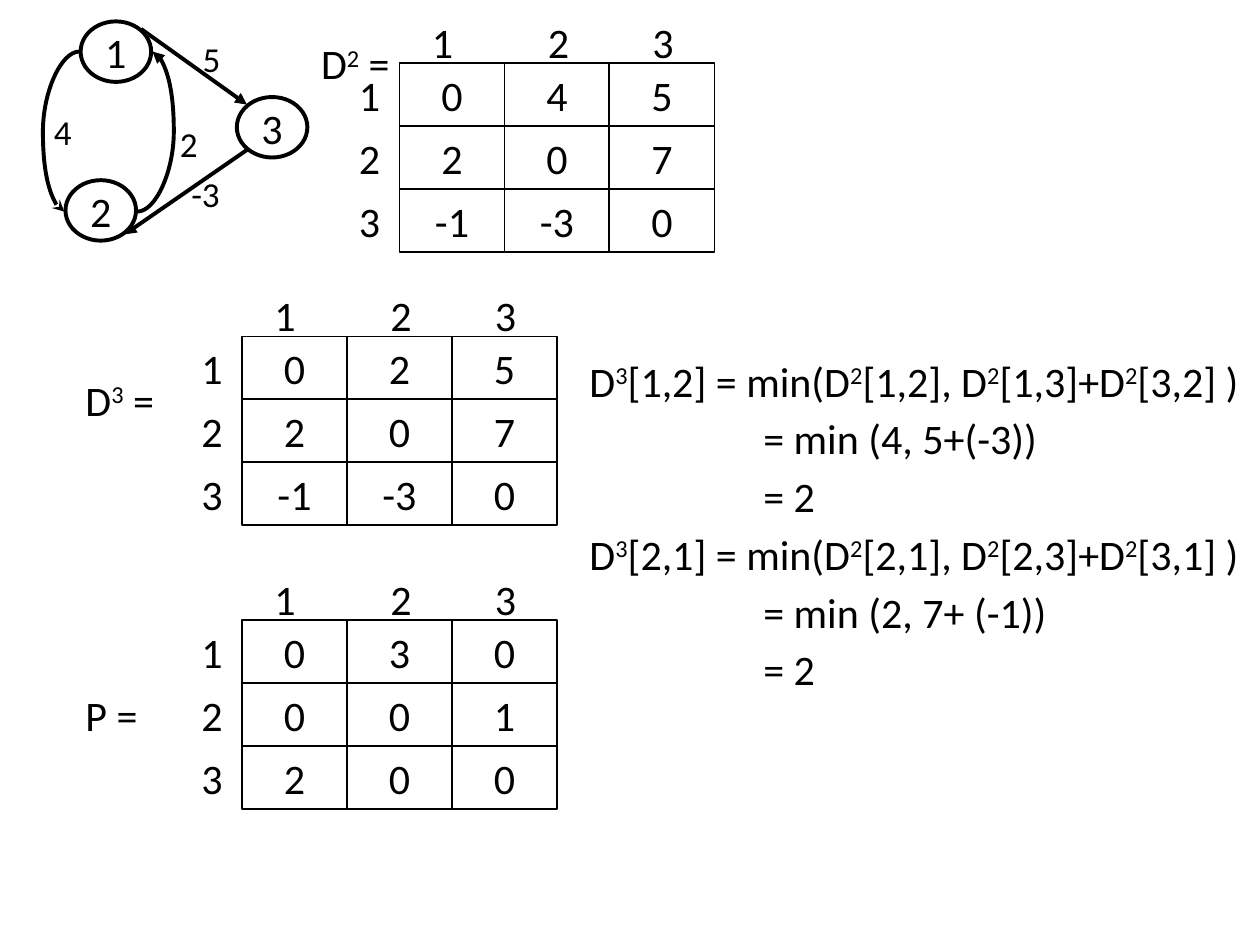
from lxml import etree
from pptx import Presentation
from pptx.dml.color import RGBColor
from pptx.enum.shapes import MSO_CONNECTOR, MSO_SHAPE
from pptx.enum.text import MSO_ANCHOR, PP_ALIGN
from pptx.oxml.ns import qn
from pptx.util import Inches, Pt

BLACK = RGBColor(0, 0, 0)
RECT, OVAL = MSO_SHAPE.RECTANGLE, MSO_SHAPE.OVAL
STRAIGHT, CURVE = MSO_CONNECTOR.STRAIGHT, MSO_CONNECTOR.CURVE
LEFT, CENTER, JUSTIFY = PP_ALIGN.LEFT, PP_ALIGN.CENTER, PP_ALIGN.JUSTIFY
MIDDLE = MSO_ANCHOR.MIDDLE


class Board:
    font = "Calibri"
    size = 24
    small = 20
    edge = 2.25
    cell_w, cell_h = 2.5 / 3, 0.5
    column_label_x = (0.16, 1.08, 1.91)

    def __init__(self, slide):
        self.slide = slide

    def fill_text(self, p, text, size=size, align=LEFT):
        """Fill a paragraph; the character after each ^ is superscript."""
        p.alignment = align
        p.font.name, p.font.size = self.font, Pt(size)
        p.font.color.rgb = BLACK
        first, *others = text.split("^")
        p.add_run().text = first
        for part in others:
            r = p.add_run()
            r.text = part[0]
            r.font._element.set("baseline", "30000")
            p.add_run().text = part[1:]

    def label(self, x, y, text, w=0.37, h=0.5, size=size):
        tf = self.slide.shapes.add_textbox(
            Inches(x), Inches(y), Inches(w), Inches(h)).text_frame
        tf.word_wrap = False
        self.fill_text(tf.paragraphs[0], text, size)

    def outline(self, kind, x, y, w, h, text, line):
        sp = self.slide.shapes.add_shape(
            kind, Inches(x), Inches(y), Inches(w), Inches(h))
        sp.shadow.inherit = False
        sp.fill.background()
        sp.line.color.rgb, sp.line.width = BLACK, Pt(line)
        tf = sp.text_frame
        tf.word_wrap, tf.vertical_anchor = False, MIDDLE
        self.fill_text(tf.paragraphs[0], text, align=CENTER)

    def node(self, x, y, text):
        self.outline(OVAL, x, y, 0.56, 0.48, text, self.edge)

    def arrow(self, kind, start, end, tip="tailEnd", style="triangle", bend=None):
        cxn = self.slide.shapes.add_connector(
            kind, *(Inches(v) for v in (*start, *end)))
        cxn.line.color.rgb, cxn.line.width = BLACK, Pt(self.edge)
        etree.SubElement(cxn.line._get_or_add_ln(), qn("a:" + tip), type=style)
        spPr = cxn._element.spPr
        etree.SubElement(spPr, qn("a:effectLst"))
        if bend is not None:
            guides = spPr.find(qn("a:prstGeom")).get_or_add_avLst()
            etree.SubElement(guides, qn("a:gd"), name="adj1",
                             fmla=f"val {round(bend * 100000)}")

    def matrix(self, x, y, rows):
        for i, row in enumerate(rows):
            top = y + i * self.cell_h
            for j, value in enumerate(row):
                self.outline(RECT, x + j * self.cell_w, top,
                             self.cell_w, self.cell_h, str(value), 1)
            self.label(x + self.column_label_x[i], y - 0.42, str(i + 1))
            self.label(x - 0.42, top, str(i + 1))

    def derivation(self, x, y, w, h, lines):
        tf = self.slide.shapes.add_textbox(
            Inches(x), Inches(y), Inches(w), Inches(h)).text_frame
        tf.word_wrap = True
        for i, text in enumerate(lines):
            p = tf.add_paragraph() if i else tf.paragraphs[0]
            p.space_before = Pt(4.2)
            self.fill_text(p, text, align=JUSTIFY)
            if text.startswith("="):
                p._p.get_or_add_pPr().set("marL", str(Inches(1.38)))


def main():
    prs = Presentation()
    prs.slide_width, prs.slide_height = Inches(10), Inches(7.5)
    board = Board(prs.slides.add_slide(prs.slide_layouts[6]))

    # Worked minimum steps
    board.derivation(4.58, 2.77, 5.42, 3.58, [
        "D^3[1,2] = min(D^2[1,2], D^2[1,3]+D^2[3,2] )",
        "= min (4, 5+(-3))",
        "= 2",
        "D^3[2,1] = min(D^2[2,1], D^2[2,3]+D^2[3,1] )",
        "= min (2, 7+ (-1))",
        "= 2",
    ])

    # Distance and predecessor matrices
    board.label(0.58, 2.92, "D^3 =", w=0.8)
    board.matrix(1.92, 2.67, [(0, 2, 5), (2, 0, 7), (-1, -3, 0)])
    board.label(0.58, 5.42, "P =", w=0.66)
    board.matrix(1.92, 4.92, [(0, 3, 0), (0, 0, 1), (2, 0, 0)])
    board.label(2.45, 0.25, "D^2 =", w=0.8)
    board.matrix(3.17, 0.5, [(0, 4, 5), (2, 0, 7), (-1, -3, 0)])

    # Weighted graph
    for x, y, name in ((0.64, 0.17, "1"), (0.52, 1.43, "2"), (1.88, 0.77, "3")):
        board.node(x, y, name)
    board.arrow(STRAIGHT, (1.12, 0.23), (1.96, 0.83))
    board.arrow(STRAIGHT, (1.96, 1.19), (0.99, 1.86))
    board.arrow(CURVE, (0.51, 1.68), (0.63, 0.41), "headEnd", "stealth", -1.41)
    board.arrow(CURVE, (1.09, 1.68), (1.21, 0.41), bend=2.41)
    for x, y, w, weight in ((1.51, 0.25, 0.34, "5"), (1.42, 1.32, 0.43, "-3"),
                            (1.33, 0.92, 0.34, "2"), (0.33, 0.83, 0.34, "4")):
        board.label(x, y, weight, w, 0.43, board.small)

    prs.save("out.pptx")


if __name__ == "__main__":
    main()
